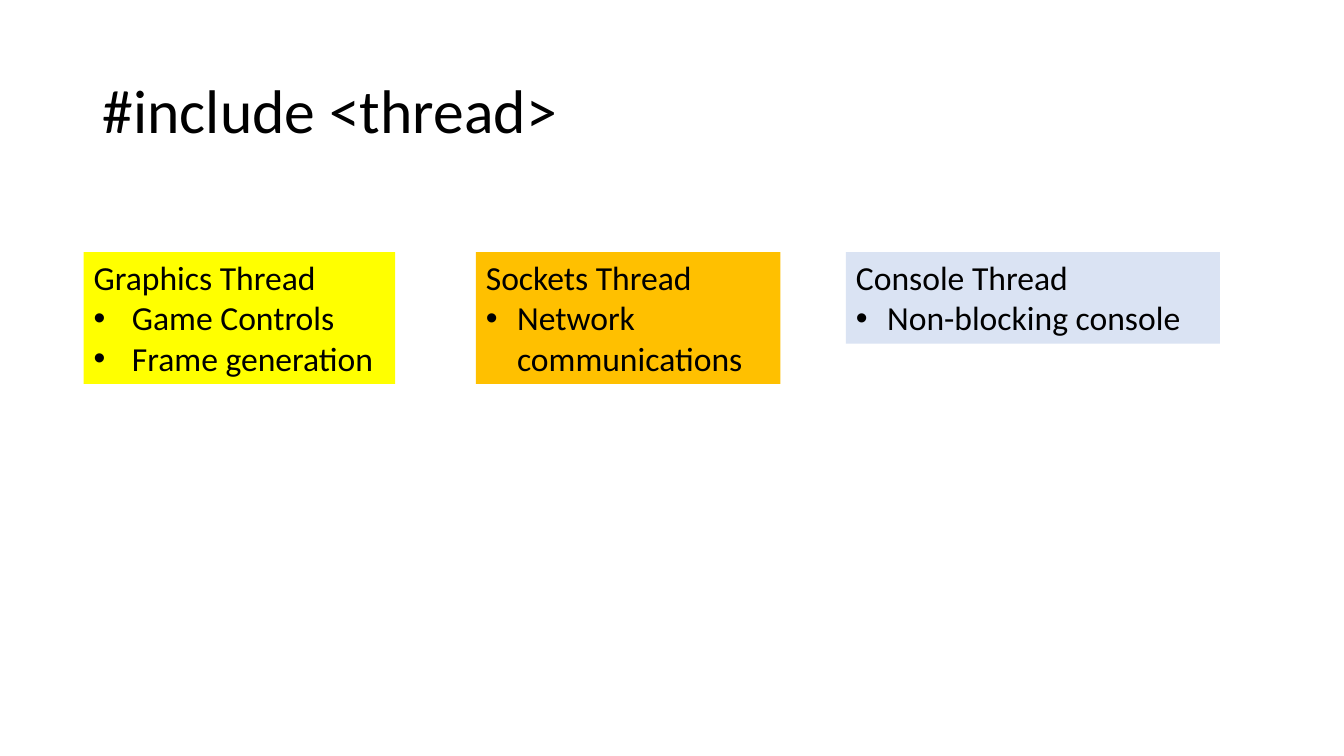
from lxml.etree import SubElement
from pptx import Presentation
from pptx.dml.color import RGBColor
from pptx.enum.shapes import MSO_SHAPE
from pptx.enum.text import MSO_ANCHOR, MSO_AUTO_SIZE, PP_ALIGN
from pptx.oxml.ns import qn
from pptx.util import Inches, Pt

COLORS = {
    "text": "000000",
    "graphics": "FFFF00",
    "sockets": "FFC000",
    "console": "DAE3F3",
}
FONT_NAME = "Calibri"
BOX_TOP = 2.5

# color, left, width, height, bullet indent, heading, bullets
THREADS = [
    ("graphics", 0.83, 3.09, 1.31, 0.38, "Graphics Thread",
     ["Game Controls", "Frame generation"]),
    ("sockets", 4.72, 3.02, 1.31, 0.31, "Sockets Thread",
     ["Network communications"]),
    ("console", 8.39, 3.71, 0.91, 0.31, "Console Thread",
     ["Non-blocking console"]),
]


def set_attributes(target, values):
    """Set each named attribute of the target."""
    for name, value in values.items():
        setattr(target, name, value)


def write_text(paragraph, text, size):
    """Put one formatted run into a left-aligned paragraph."""
    paragraph.alignment = PP_ALIGN.LEFT
    run = paragraph.add_run()
    run.text = text
    set_attributes(run.font, {"name": FONT_NAME, "size": Pt(size)})
    run.font.color.rgb = RGBColor.from_string(COLORS["text"])


def add_bullet(paragraph, indent):
    """Give a paragraph a round bullet with a hanging indent."""
    properties = paragraph._p.get_or_add_pPr()
    properties.set("marL", str(Inches(indent)))
    properties.set("indent", str(-Inches(indent)))
    SubElement(properties, qn("a:buFont"), typeface="Arial")
    SubElement(properties, qn("a:buChar"), char="•")


def add_title(slide, text):
    """Place and fill the title placeholder."""
    title = slide.shapes.title
    set_attributes(title, {
        "left": Inches(0.92), "top": Inches(0.4),
        "width": Inches(11.5), "height": Inches(1.45),
    })
    set_attributes(title.text_frame, {
        "vertical_anchor": MSO_ANCHOR.MIDDLE, "word_wrap": True,
    })
    paragraph = title.text_frame.paragraphs[0]
    paragraph.line_spacing = 0.9
    write_text(paragraph, text, 44)


def add_thread_box(slide, color, left, width, height, indent, heading, bullets):
    """Draw a filled box with a heading and its bullets."""
    shape = slide.shapes.add_shape(
        MSO_SHAPE.RECTANGLE, Inches(left), Inches(BOX_TOP),
        Inches(width), Inches(height))
    shape.shadow.inherit = False
    shape.fill.solid()
    shape.fill.fore_color.rgb = RGBColor.from_string(COLORS[color])
    shape.line.fill.background()
    frame = shape.text_frame
    set_attributes(frame, {
        "word_wrap": True,
        "vertical_anchor": MSO_ANCHOR.TOP,
        "auto_size": MSO_AUTO_SIZE.SHAPE_TO_FIT_TEXT,
    })
    write_text(frame.paragraphs[0], heading, 24)
    for bullet in bullets:
        paragraph = frame.add_paragraph()
        write_text(paragraph, bullet, 24)
        add_bullet(paragraph, indent)


def main():
    """Build the slide and save it."""
    presentation = Presentation()
    set_attributes(presentation, {
        "slide_width": Inches(13.33), "slide_height": Inches(7.5),
    })
    slide = presentation.slides.add_slide(presentation.slide_layouts[5])
    add_title(slide, "#include <thread>")
    for thread in THREADS:
        add_thread_box(slide, *thread)
    presentation.save("out.pptx")


main()
